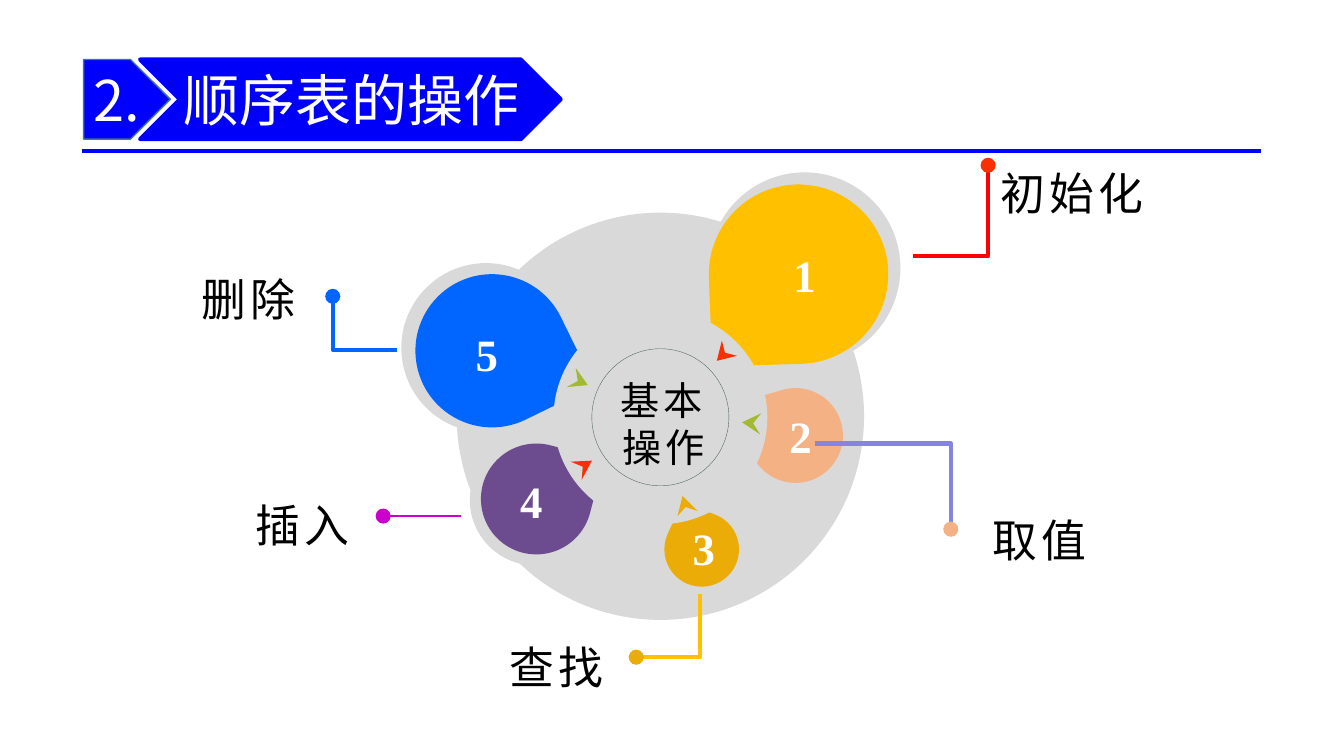
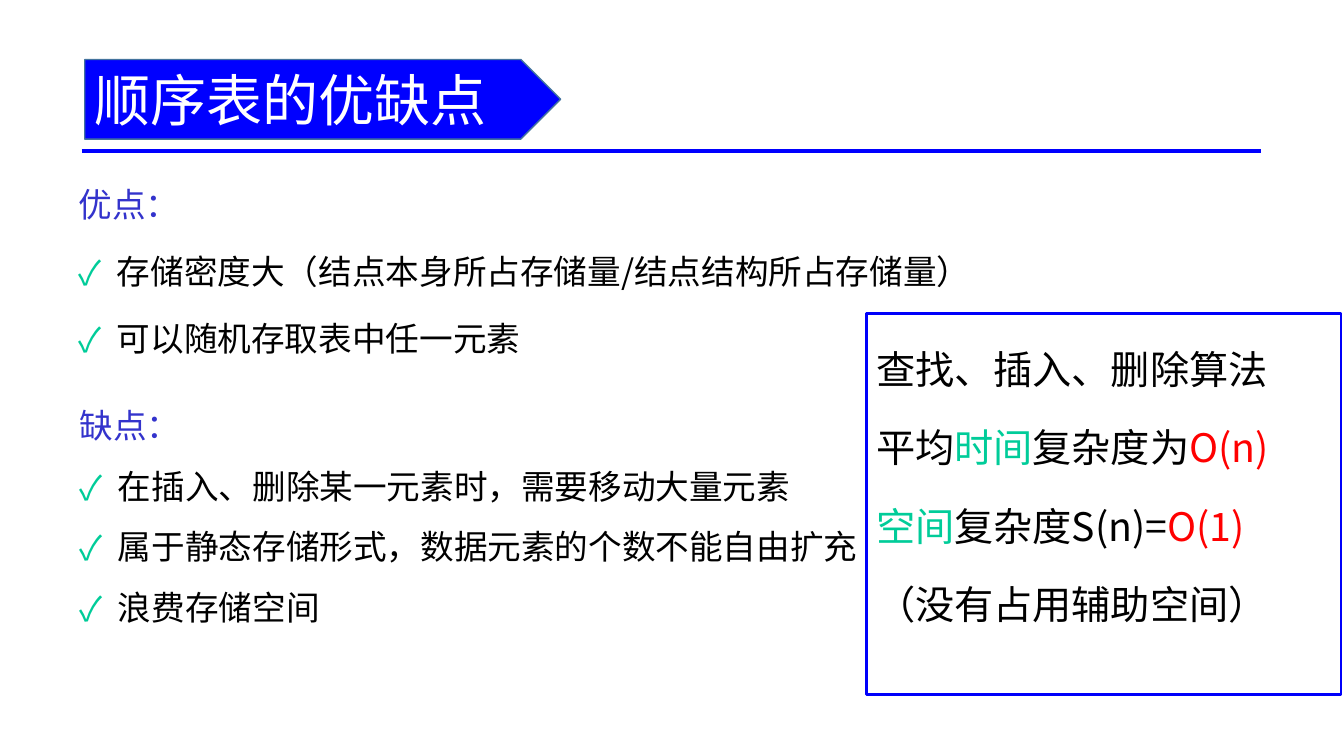
import math

from lxml import etree
from pptx import Presentation, util as u
from pptx.dml.color import RGBColor
from pptx.enum import shapes as kinds, text as t
from pptx.oxml.ns import qn

PX = 9144  # EMU in one px, 100 px to the inch


class Theme:
    blue, band, band_edge = "0000FF", "0000FA", "43739E"
    white, black, grey, ring = "FFFFFF", "000000", "D9D9D9", "4C6062"
    heading, mint, red = "3333CC", "00CC99", "FF0000"
    sans, serif = "Noto Sans CJK SC", "Times New Roman"
    title_size, label_size, hub_size, note_size, body_size = 40, 32, 28, 28, 24
    tracking = 3  # points between letters of diagram labels


# Content of slide 1: circle = (centre x, centre y, radius), tip = point of the drop
HUB = (655, 414)
DISC = (655, 413, 202)
OPERATIONS = [
    dict(number="1", name="初始化", colour="FFC000", arrow="F83003",
         shade=((798, 266, 95), (707, 364)), drop=((792, 272, 89), (707, 363)),
         arrow_tip=(711, 358), number_at=(798, 272), name_at=(1063, 191),
         path=[(906, 254), (980, 254), (980, 164)], line="FF0000", dot="F83003"),
    dict(number="2", name="取值", colour="F4B183", arrow="A2B932",
         drop=((789, 432, 47), (730, 400)),
         arrow_tip=(736, 419), number_at=(794, 432), name_at=(1031, 535),
         path=[(808, 440), (943, 440), (943, 525)], line="8585E0", dot="F4B183"),
    dict(number="3", name="查找", colour="EBAC07", arrow="EBAC07",
         drop=((696, 545, 37), (678, 502)),
         arrow_tip=(677, 492), number_at=(698, 543), name_at=(552, 661),
         path=[(694, 589), (694, 652), (631, 652)], line="FFC000", dot="EBAC07"),
    dict(number="4", name="插入", colour="6C4C8F", arrow="F83003",
         shade=((531, 496, 65), (605, 442)), drop=((532, 495, 55), (599, 456)),
         arrow_tip=(587, 457), number_at=(527, 497), name_at=(300, 520),
         path=[(457, 512), (380, 512)], line="CC00CC", dot="CC00CC"),
    dict(number="5", name="删除", colour="0066FF", arrow="A2B932",
         shade=((482, 345, 84), (594, 385)), drop=((488, 348, 76), (590, 383)),
         arrow_tip=(583, 382), number_at=(483, 351), name_at=(246, 296),
         path=[(394, 347), (330, 347), (330, 294)], line="0066FF", dot="0066FF"),
]

# Content of slide 2: place, space before each item in points, heading, items
LISTS = [
    ((78, 162, 921, 195), 4.8, "优点：",
     ["存储密度大（结点本身所占存储量/结点结构所占存储量）", "可以随机存取表中任一元素"]),
    ((79, 382, 895, 245), 0, "缺点：",
     ["在插入、删除某一元素时，需要移动大量元素",
      "属于静态存储形式，数据元素的个数不能自由扩充", "浪费存储空间"]),
]
NOTE = [
    [("查找、插入、删除算法", Theme.black)],
    [("平均", Theme.black), ("时间", Theme.mint), ("复杂度为", Theme.black), ("O(n)", Theme.red)],
    [("空间", Theme.mint), ("复杂度S(n)=", Theme.black), ("O(1)", Theme.red)],
    [("（没有占用辅助空间）", Theme.black)],
]


def px(*lengths):
    return [u.Emu(round(length * PX)) for length in lengths]


def rgb(colour):
    return RGBColor.from_string(colour)


def paint(shape, fill=None, line=None, width=1):
    shape.shadow.inherit = False
    if fill:
        shape.fill.solid()
        shape.fill.fore_color.rgb = rgb(fill)
    else:
        shape.fill.background()
    if line:
        shape.line.color.rgb = rgb(line)
        shape.line.width = u.Pt(width)
    else:
        shape.line.fill.background()
    return shape


def style_run(run, size, colour, font=Theme.sans, bold=False, tracking=0):
    run.font.name, run.font.size, run.font.bold = font, u.Pt(size), bold
    run.font.color.rgb = rgb(colour)
    properties = run._r.get_or_add_rPr()
    latin = properties.find(qn("a:latin"))
    east_asian = etree.Element(qn("a:ea"), typeface=Theme.sans)
    latin.addnext(east_asian)
    if tracking:
        properties.set("spc", str(tracking * 100))


def set_frame(frame, anchor=t.MSO_ANCHOR.TOP, wrap=True, left=0, top=0):
    frame.auto_size = t.MSO_AUTO_SIZE.NONE
    frame.word_wrap = wrap
    frame.vertical_anchor = anchor
    frame.margin_left, frame.margin_top = px(left, top)
    frame.margin_right = frame.margin_bottom = 0


def place(shape, box):
    shape.left, shape.top, shape.width, shape.height = px(*box)


def add_line(slide, start, end, colour, width):
    line = slide.shapes.add_connector(kinds.MSO_CONNECTOR.STRAIGHT, *px(*start, *end))
    line.line.color.rgb = rgb(colour)
    line.line.width = u.Pt(width)
    etree.SubElement(line._element.spPr, qn("a:effectLst"))


def add_shape(slide, kind, box, fill=None, line=None, width=1):
    return paint(slide.shapes.add_shape(kind, *px(*box)), fill, line, width)


def add_circle(slide, circle, fill=None, line=None, width=1):
    x, y, radius = circle
    box = (x - radius, y - radius, 2 * radius, 2 * radius)
    return add_shape(slide, kinds.MSO_SHAPE.OVAL, box, fill, line, width)


def add_outline(slide, points, close, fill=None, line=None, width=1):
    builder = slide.shapes.build_freeform(*points[0], scale=float(PX))
    builder.add_line_segments(points[1:], close=close)
    return paint(builder.convert_to_shape(), fill, line, width)


def add_label(slide, words, centre, size, colour, bold=False, wide=60, high=67, wrap=False):
    box = (centre[0] - wide / 2, centre[1] - high / 2, wide, high)
    frame = slide.shapes.add_textbox(*px(*box)).text_frame
    set_frame(frame, t.MSO_ANCHOR.MIDDLE, wrap)
    frame.text = words
    paragraph = frame.paragraphs[0]
    paragraph.alignment = t.PP_ALIGN.CENTER
    style_run(paragraph.runs[0], size, colour, Theme.serif, bold, Theme.tracking)
    return paragraph


# Shared title: blue bands, rule and title text
def add_title(slide, words, text_left, bands):
    add_line(slide, (81, 150), (1251, 150), Theme.blue, 3)
    shapes = [add_shape(slide, *band) for band in bands]
    title = slide.shapes.title
    place(title, (text_left, 59, 400, 79))
    slide.shapes._spTree.append(title._element)  # above the band
    set_frame(title.text_frame, t.MSO_ANCHOR.MIDDLE)
    title.text_frame.text = words
    paragraph = title.text_frame.paragraphs[0]
    paragraph.alignment = t.PP_ALIGN.LEFT
    style_run(paragraph.runs[0], Theme.title_size, Theme.white)
    return shapes


def add_drop(slide, circle, tip, colour):
    x, y, radius = circle
    dx, dy = tip[0] - x, tip[1] - y
    box = (x - radius, y - radius, 2 * radius, 2 * radius)
    drop = add_shape(slide, kinds.MSO_SHAPE.TEAR, box, colour)
    drop.adjustments[0] = math.hypot(dx, dy) / (radius * math.sqrt(2))
    drop.rotation = math.degrees(math.atan2(dy, dx)) + 45


def add_arrow(slide, tip, colour):
    """A notched arrowhead that points to the hub."""
    back = math.atan2(tip[1] - HUB[1], tip[0] - HUB[0])
    corners = [(21, math.pi / 6), (11, 0), (21, -math.pi / 6)]
    points = [(tip[0] + length * math.cos(back + turn), tip[1] + length * math.sin(back + turn))
              for length, turn in corners]
    add_outline(slide, [tip] + points, True, colour)


def add_callout(slide, operation):
    path = operation["path"]
    if len(path) == 2:
        add_line(slide, *path, operation["line"], 1.5)
    else:
        add_outline(slide, path, False, None, operation["line"], 3)
    add_circle(slide, (*path[-1], 7.5), operation["dot"])
    add_label(slide, operation["name"], operation["name_at"], Theme.label_size,
              Theme.black, wide=125)
    add_label(slide, operation["number"], operation["number_at"], Theme.label_size,
              Theme.white, bold=True)


def build_operations(presentation):
    slide = presentation.slides.add_slide(presentation.slide_layouts[5])
    number, _ = add_title(slide, "顺序表的操作", 182, [
        (kinds.MSO_SHAPE.PENTAGON, (83, 59, 86, 79), Theme.blue, Theme.band_edge),
        (kinds.MSO_SHAPE.CHEVRON, (139, 59, 417, 79), Theme.band, Theme.blue, 3)])
    set_frame(number.text_frame, t.MSO_ANCHOR.MIDDLE, left=10)
    number.text_frame.text = "2."
    paragraph = number.text_frame.paragraphs[0]
    paragraph.alignment = t.PP_ALIGN.LEFT
    style_run(paragraph.runs[0], Theme.title_size, Theme.white)

    # Wheel, from back to front
    for operation in OPERATIONS:
        if "shade" in operation:
            add_drop(slide, *operation["shade"], Theme.grey)
    add_circle(slide, DISC, Theme.grey)
    for operation in OPERATIONS:
        add_drop(slide, *operation["drop"], operation["colour"])
    add_circle(slide, (*HUB, 106), Theme.grey)
    add_circle(slide, (*HUB, 68), None, Theme.ring, 0.25)
    hub = add_label(slide, "基本操作", (658, 420), Theme.hub_size, Theme.black,
                    wide=106, high=108, wrap=True)
    hub.line_spacing = u.Pt(33.6)
    for operation in OPERATIONS:
        add_arrow(slide, operation["arrow_tip"], operation["arrow"])
        add_callout(slide, operation)


def set_bullet(paragraph, bulleted):
    properties = paragraph._p.get_or_add_pPr()
    indent = 38 * PX
    properties.set("marL", str(indent))
    properties.set("indent", str(-indent))
    if not bulleted:
        etree.SubElement(properties, qn("a:buNone"))
        return
    colour = etree.SubElement(properties, qn("a:buClr"))
    etree.SubElement(colour, qn("a:srgbClr"), val=Theme.mint)
    etree.SubElement(properties, qn("a:buFont"), typeface=Theme.sans)
    etree.SubElement(properties, qn("a:buChar"), char="✓")


def space_lines(paragraph, size, before):
    paragraph.line_spacing = u.Pt(size * 1.8)
    paragraph.space_before = u.Pt(before)


def build_pros_and_cons(presentation):
    slide = presentation.slides.add_slide(presentation.slide_layouts[3])
    add_title(slide, "顺序表的优缺点", 94, [
        (kinds.MSO_SHAPE.PENTAGON, (84, 59, 472, 79), Theme.blue, Theme.band_edge)])

    # Two check lists
    for index, (box, before, heading, items) in enumerate(LISTS, 1):
        body = slide.placeholders[index]
        place(body, box)
        set_frame(body.text_frame)
        body.text_frame.text = "\n".join([heading] + items)
        for row, paragraph in enumerate(body.text_frame.paragraphs):
            set_bullet(paragraph, row > 0)
            space_lines(paragraph, Theme.body_size, before if row else 0)
            style_run(paragraph.runs[0], Theme.body_size, Theme.black if row else Theme.heading)

    # Framed note on complexity
    note = add_shape(slide, kinds.MSO_SHAPE.RECTANGLE, (859, 311, 471, 378), None, Theme.band, 2)
    frame = note.text_frame
    set_frame(frame, left=10, top=8)
    frame.text = "\n".join("" for _ in NOTE)
    for row, (paragraph, parts) in enumerate(zip(frame.paragraphs, NOTE)):
        paragraph.alignment = t.PP_ALIGN.LEFT
        space_lines(paragraph, Theme.note_size, 5.6 if row else 0)
        for words, colour in parts:
            run = paragraph.add_run()
            run.text = words
            style_run(run, Theme.note_size, colour)


def main():
    presentation = Presentation()
    presentation.slide_width, presentation.slide_height = px(1333, 750)
    build_operations(presentation)
    build_pros_and_cons(presentation)
    presentation.save("out.pptx")


if __name__ == "__main__":
    main()
